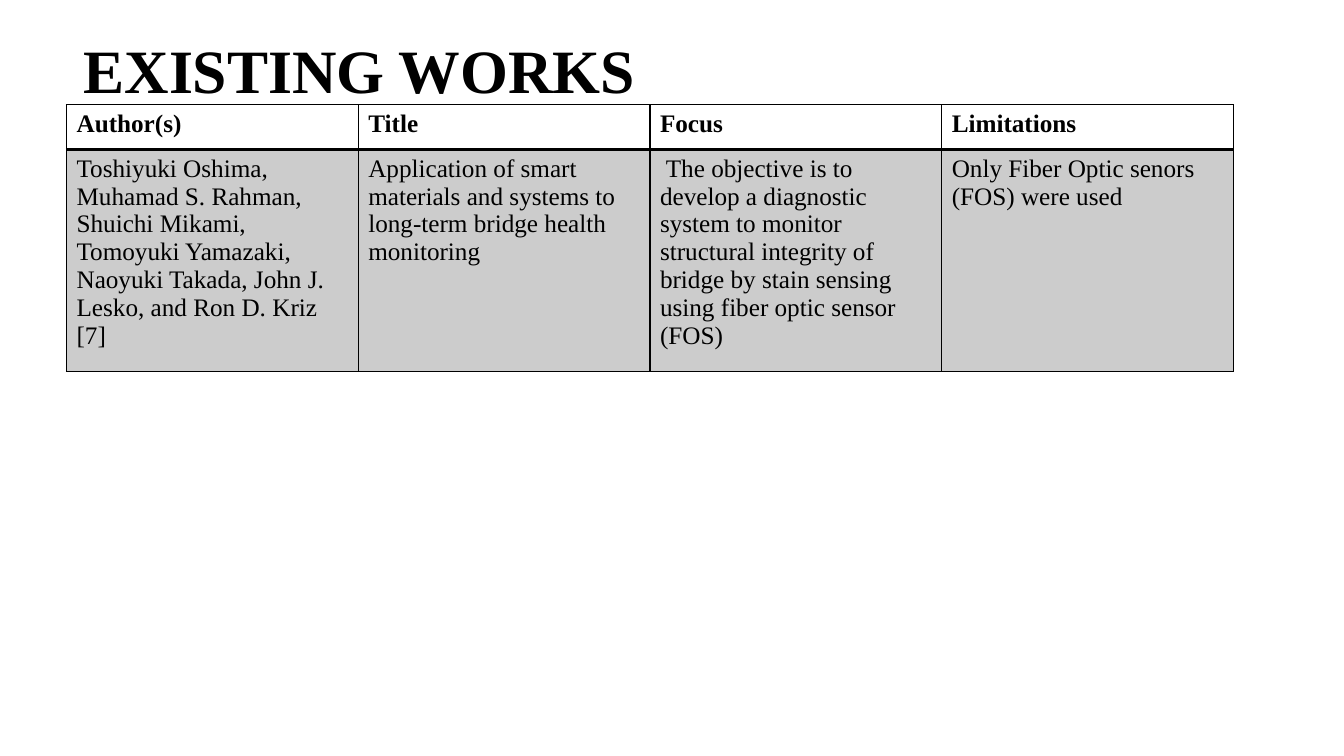
from lxml.etree import SubElement
from pptx import Presentation
from pptx.dml.color import RGBColor
from pptx.enum.text import MSO_ANCHOR
from pptx.oxml.ns import qn
from pptx.util import Pt

COLORS = {"ink": "000000", "header": "FFFFFF", "body": "CCCCCC"}
TITLE = {"size": Pt(44), "bold": True}
HEADER = {"size": Pt(18), "bold": True}
BODY = {"size": Pt(18), "bold": False}

WORKS = [
    ["Author(s)", "Title", "Focus", "Limitations"],
    [
        "Toshiyuki Oshima, Muhamad S. Rahman, Shuichi Mikami, Tomoyuki Yamazaki, "
        "Naoyuki Takada, John J. Lesko, and Ron D. Kriz [7]",
        "Application of smart materials and systems to long-term bridge health monitoring",
        " The objective is to develop a diagnostic system to monitor structural "
        "integrity of bridge by stain sensing using fiber optic sensor (FOS)",
        "Only Fiber Optic senors (FOS) were used",
    ],
]


class WorksSlide:
    font = "Times New Roman"

    def __init__(self, slide):
        self.slide = slide

    def add_words(self, frame, words, style):
        paragraph = frame.paragraphs[0]
        run = paragraph.add_run()
        run.text = words
        for name, value in {"name": self.font, **style}.items():
            setattr(run.font, name, value)
        run.font.color.rgb = RGBColor.from_string(COLORS["ink"])
        return paragraph

    def heading(self, words, left, top, width, height):
        frame = self.slide.shapes.add_textbox(
            Pt(left), Pt(top), Pt(width), Pt(height)
        ).text_frame
        frame.word_wrap = True
        frame.vertical_anchor = MSO_ANCHOR.MIDDLE
        self.add_words(frame, words, TITLE).line_spacing = 0.9

    def border(self, cell, edge, weight):
        properties = cell._tc.get_or_add_tcPr()
        line = SubElement(properties, qn(f"a:ln{edge}"), w=str(Pt(weight)))
        fill = SubElement(line, qn("a:solidFill"))
        SubElement(fill, qn("a:srgbClr"), val=COLORS["ink"])

    def table(self, rows, left, top, column_width, row_heights):
        columns = len(rows[0])
        grid = self.slide.shapes.add_table(
            len(rows), columns, Pt(left), Pt(top),
            Pt(column_width * columns), Pt(sum(row_heights)),
        ).table
        grid.first_row = grid.horz_banding = False
        for column in grid.columns:
            column.width = Pt(column_width)
        for index, (entries, height) in enumerate(zip(rows, row_heights)):
            grid.rows[index].height = Pt(height)
            is_header = index == 0
            weights = {"L": 1, "R": 1, "T": 1 if is_header else 2, "B": 2 if is_header else 1}
            for position, words in enumerate(entries):
                cell = grid.cell(index, position)
                for edge, weight in weights.items():
                    self.border(cell, edge, weight)
                cell.fill.solid()
                shade = COLORS["header" if is_header else "body"]
                cell.fill.fore_color.rgb = RGBColor.from_string(shade)
                self.add_words(cell.text_frame, words, HEADER if is_header else BODY)


def main():
    deck = Presentation()
    deck.slide_width, deck.slide_height = Pt(960), Pt(540)
    works = WorksSlide(deck.slides.add_slide(deck.slide_layouts[6]))
    works.heading("EXISTING WORKS", 52.6, 0, 828, 104.4)
    works.table(WORKS, 47.5, 74.9, 208.4, [32, 147])
    deck.save("out.pptx")


if __name__ == "__main__":
    main()
